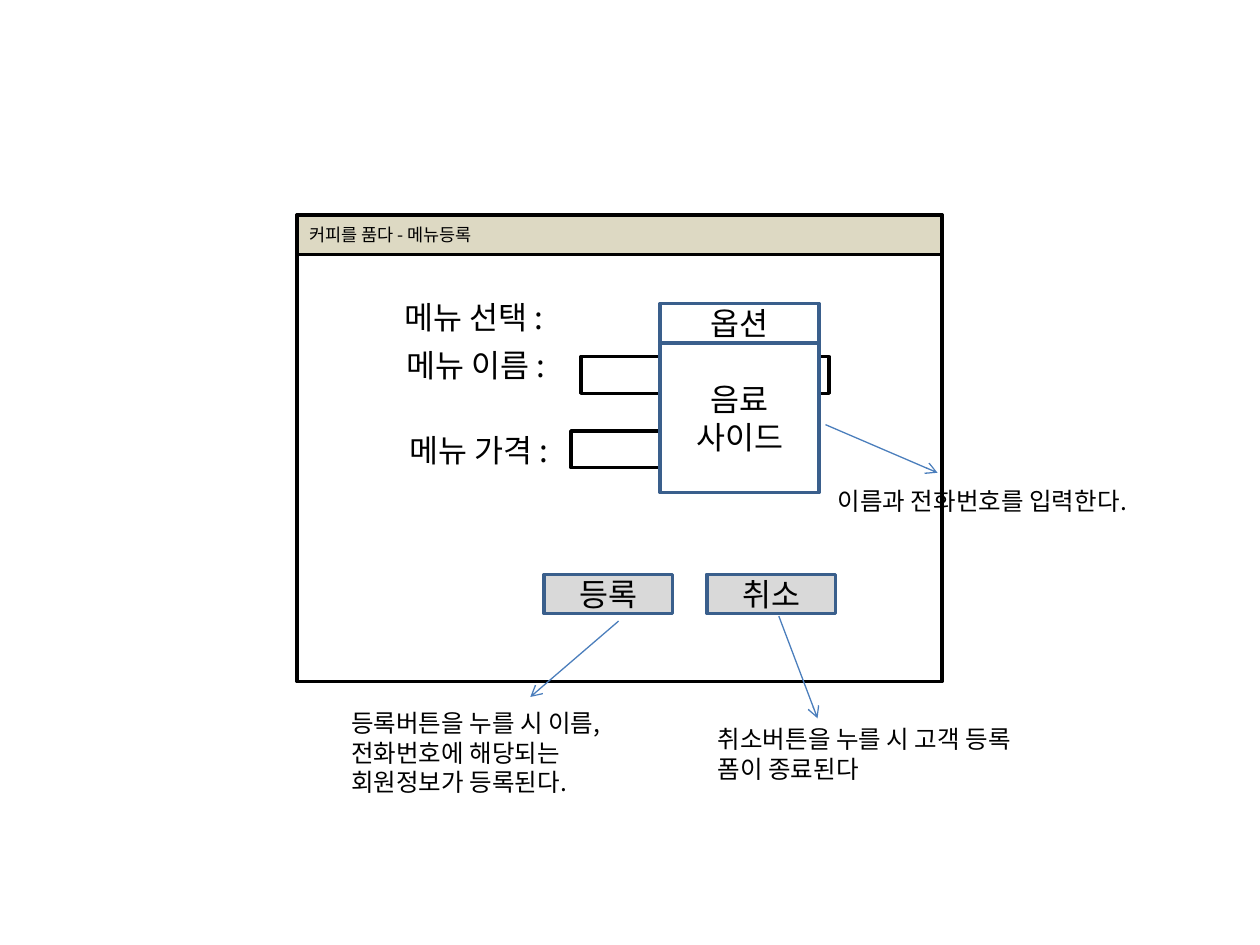
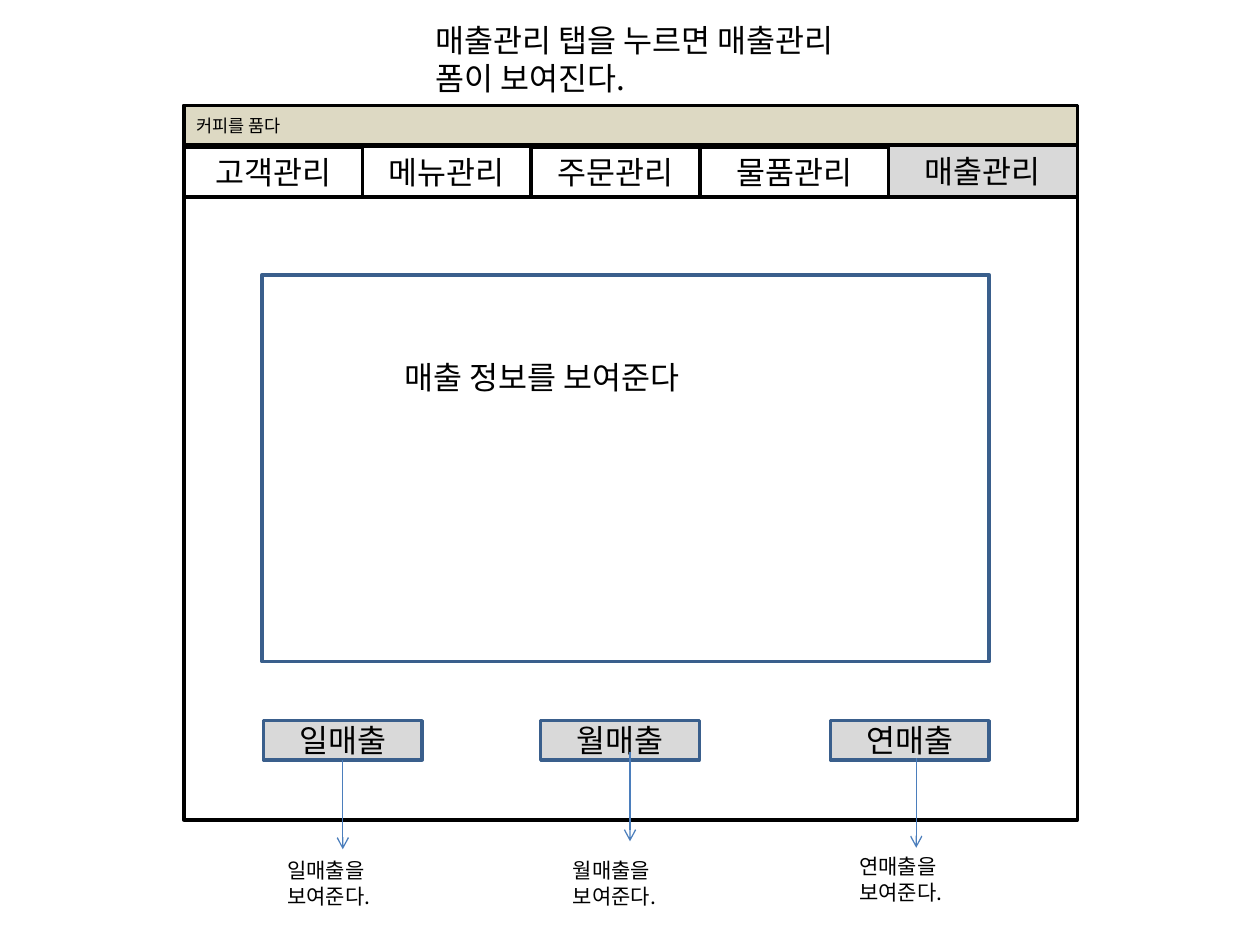
"""Build two wireframe slides for a cafe manager: menu entry and sales."""
from itertools import accumulate
from lxml.etree import SubElement
from pptx import Presentation
from pptx.dml.color import RGBColor
from pptx.enum.shapes import MSO_CONNECTOR as Link, MSO_SHAPE as Shape
from pptx.enum.text import MSO_ANCHOR as Anchor, MSO_AUTO_SIZE as Auto, PP_ALIGN as Align
from pptx.oxml.ns import qn
from pptx.util import Cm, Pt

FONT = "Noto Sans CJK KR"
BLACK, WHITE, SAND, GREY = "000000", "FFFFFF", "DDD9C3", "D9D9D9"
NAVY, BLUE = "3A5F8C", "4B7EBC"
BAR = 0.79

MENU = {
    "window": (5.99, 4.34, 13, 9.4),
    "title": "커피를 품다 - 메뉴등록",
    "labels": [("메뉴 이름 :", 7.95, 6.86), ("메뉴 가격 :", 8, 8.56), ("메뉴 선택 :", 7.9, 5.89)],
    "fields": [(11.71, 7.19), (11.51, 8.69)],
    "buttons": [("등록", 10.97), ("취소", 14.25)],
    "arrows": [(12.47, 12.52, 10.69, 14.05), (15.7, 12.42, 16.48, 14.48), (16.64, 8.56, 18.9, 9.53)],
    "notes": [
        ("등록버튼을 누를 시 이름,전화번호에 해당되는 회원정보가 등록된다.", 6.83, 14.15, 6.73, 2.06),
        ("취소버튼을 누를 시 고객 등록 폼이 종료된다", 14.22, 14.48, 6.73, 1.45),
        ("이름과 전화번호를 입력한다.", 16.64, 9.68, 7.47, 0.86),
    ],
    "lists": [(["옵션"], 6.12, 0.8), (["음료", "사이드"], 6.93, 3)],
}
SALES = {
    "window": (3.71, 2.13, 18.01, 14.4),
    "title": "커피를 품다",
    "tabs": [
        ("고객관리", 3.6, 2.97, WHITE), ("메뉴관리", 3.4, 2.95, WHITE),
        ("주문관리", 3.4, 2.97, WHITE), ("물품관리", 3.8, 2.97, WHITE),
        ("매출관리", 3.81, 2.92, GREY),
    ],
    "panel": (5.28, 5.54, 14.66, 7.8),
    "periods": [
        ("일매출", 5.31, (6.91, 15.32), (5.54, 17.17)),
        ("월매출", 10.9, (12.7, 15.16), (11.3, 17.17)),
        ("연매출", 16.74, (18.47, 15.29), (17.07, 17.09)),
    ],
    "hint": ("매출관리 탭을 누르면 매출관리 폼이 보여진다.", 8.53, 0.3, 9.4, 1.8),
    "info": ("매출 정보를 보여준다", 7.9, 7.09, 10.21, 1.02),
}


def tint(code):
    return RGBColor.from_string(code)


def write(frame, lines, size, align):
    frame.word_wrap = True
    for i, line in enumerate(lines):
        para = frame.add_paragraph() if i else frame.paragraphs[0]
        para.alignment = align
        run = para.add_run()
        run.text = line
        run.font.size = Pt(size)
        run.font.name = FONT
        run.font.color.rgb = tint(BLACK)
        SubElement(run.font._element, qn("a:ea")).set("typeface", FONT)


def box(host, area, fill, edge, lines=(), size=18, align=Align.CENTER):
    shape = host.add_shape(Shape.RECTANGLE, *map(Cm, area))
    shape.shadow.inherit = False
    shape.fill.solid()
    shape.fill.fore_color.rgb = tint(fill)
    shape.line.color.rgb = tint(edge)
    shape.line.width = Pt(2)
    shape.text_frame.vertical_anchor = Anchor.MIDDLE
    write(shape.text_frame, lines, size, align)


def note(host, text, x, y, w, h, size):
    frame = host.add_textbox(*map(Cm, (x, y, w, h))).text_frame
    write(frame, [text], size, Align.LEFT)
    frame.auto_size = Auto.SHAPE_TO_FIT_TEXT


def arrow(host, *ends):
    link = host.add_connector(Link.STRAIGHT, *map(Cm, ends))
    link.line.color.rgb = tint(BLUE)
    link.line.width = Pt(0.75)
    SubElement(link.line._get_or_add_ln(), qn("a:tailEnd")).set("type", "arrow")
    SubElement(link._element.spPr, qn("a:effectLst"))


def window(host, area, title):
    box(host, area, WHITE, BLACK)
    box(host, (*area[:3], BAR), SAND, BLACK, [title], 10, Align.LEFT)


def menu(host, data):
    window(host, data["window"], data["title"])
    for text, x, y in data["labels"]:
        note(host, text, x, y, 4, 1.02, 18)
    for x, y in data["fields"]:
        box(host, (x, y, 5, 0.74), WHITE, BLACK)
    for text, x in data["buttons"]:
        box(host, (x, 11.58, 2.59, BAR), GREY, NAVY, [text])
    for ends in data["arrows"]:
        arrow(host, *ends)
    for item in data["notes"]:
        note(host, *item, 14)
    for lines, y, h in data["lists"]:
        box(host, (13.31, y, 3.2, h), WHITE, NAVY, lines)


def sales(host, data):
    group = host.add_group_shape().shapes
    window(group, data["window"], data["title"])
    tabs = data["tabs"]
    lefts = accumulate((tab[1] for tab in tabs), initial=data["window"][0])
    for x, (text, w, y, fill) in reversed(list(zip(lefts, tabs))):
        box(group, (x, y, w, 3.97 - y), fill, BLACK, [text])
    box(host, data["panel"], WHITE, NAVY)
    for text, x, (ax, ay), (nx, ny) in data["periods"]:
        box(host, (x, 14.53, 3.2, BAR), GREY, NAVY, [text])
        arrow(host, ax, ay, ax, ay + 1.8)
        note(host, f"{text}을 보여준다.", nx, ny, 3.2, 1.27, 12)
    for key in ("hint", "info"):
        note(host, *data[key], 18)


def main():
    deck = Presentation()
    deck.slide_width, deck.slide_height = Cm(25.4), Cm(19.05)
    for draw, data in ((menu, MENU), (sales, SALES)):
        draw(deck.slides.add_slide(deck.slide_layouts[6]).shapes, data)
    deck.save("out.pptx")


if __name__ == "__main__":
    main()
